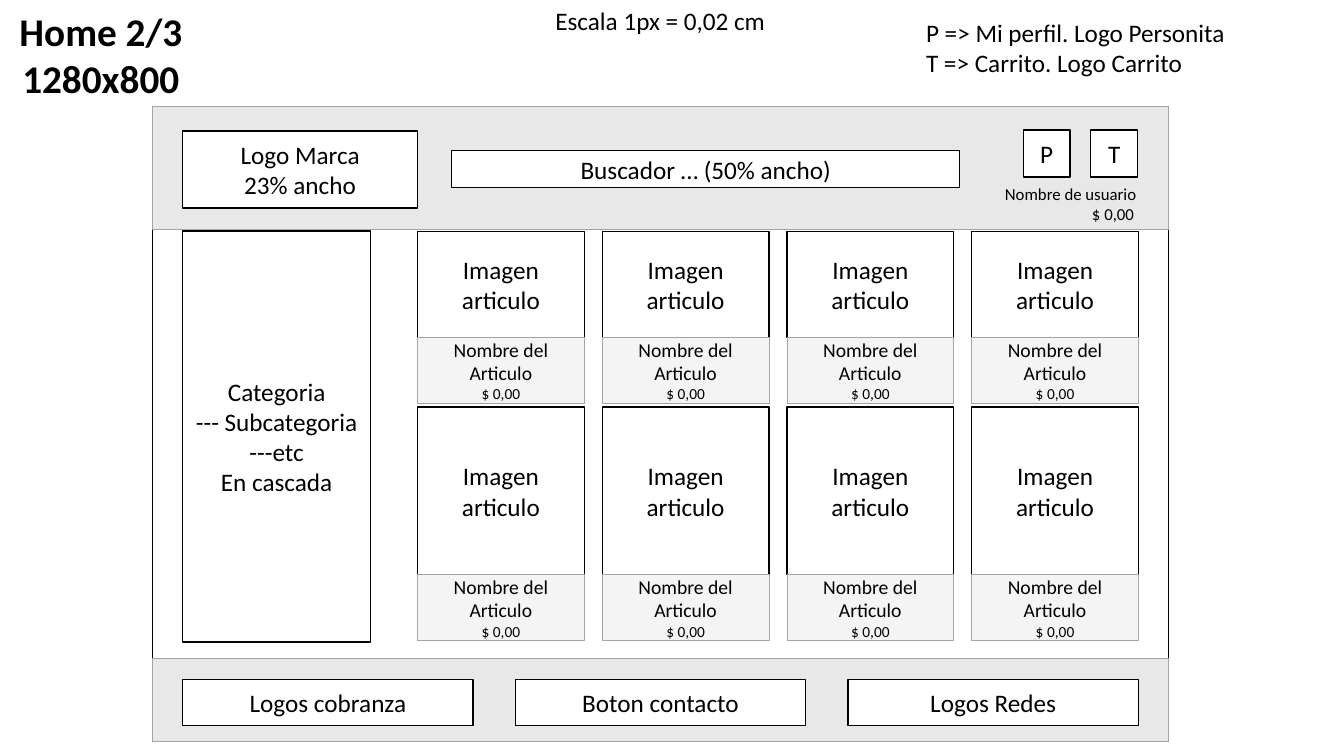
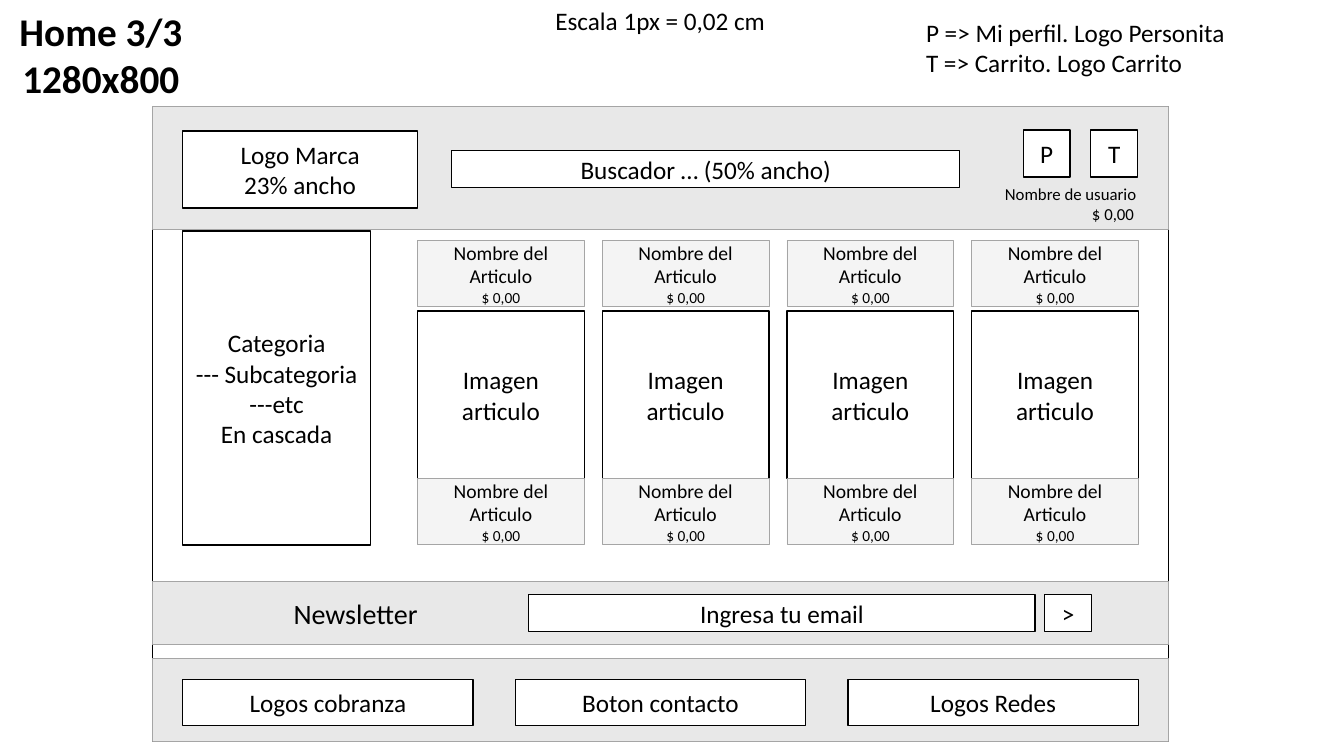
import dataclasses
import typing

import lxml.etree
import pptx
import pptx.dml.color
import pptx.enum.shapes
import pptx.enum.text
import pptx.oxml.ns
import pptx.util

Align = pptx.enum.text.PP_ALIGN
Anchor = pptx.enum.text.MSO_ANCHOR
PIXEL = pptx.util.Cm(0.02)  # the scale stated on the slides


@dataclasses.dataclass(frozen=True)
class Theme:
    font: str = "Calibri"
    ink: str = "000000"
    paper: str = "FFFFFF"
    gray: str = "D9D9D9"
    gray_line: str = "A5A5A5"
    title: int = 28
    heading: int = 20
    body: int = 18
    caption: int = 14
    small: int = 12
    price: int = 11


THEME = Theme()


@dataclasses.dataclass(frozen=True)
class Box:
    """Area in wireframe pixels."""
    x: float
    y: float
    width: float
    height: float

    def inside(self, outer: "Box") -> "Box":
        return Box(outer.x + self.x, outer.y + self.y, self.width, self.height)

    def emu(self) -> tuple[int, ...]:
        return tuple(round(side * PIXEL) for side in dataclasses.astuple(self))


@dataclasses.dataclass(frozen=True)
class Style:
    fill: str
    line: str
    line_width: float
    opacity: int = 100


@dataclasses.dataclass(frozen=True)
class Label:
    box: Box
    text: str
    size: int = THEME.body
    align: Align = Align.CENTER
    wrap: bool = True


@dataclasses.dataclass(frozen=True)
class CardRow:
    """Row of articles; without an image height only the captions show."""
    top: float
    image_height: float = 0


@dataclasses.dataclass(frozen=True)
class Page:
    title: str
    category_height: float
    rows: tuple[CardRow, ...]
    newsletter: bool = False


FIELD = Style(THEME.paper, THEME.ink, 1)
BAND = Style(THEME.gray, THEME.gray_line, 0.5, 58)
CAPTION = Style(THEME.gray, THEME.gray_line, 0.5, 28)

FRAME = Box(192, 134, 1280, 800)
MARGIN = 38
RIGHT = FRAME.width - MARGIN
CARDS_LEFT, CARD_WIDTH, CAPTION_HEIGHT = 334, 210, 83
TITLE_BOX = Box(11, 3, 232, 132)

NOTES = (
    Label(Box(687, 0, 293, 51), "Escala 1px = 0,02 cm", align=Align.LEFT, wrap=False),
    Label(Box(1154, 15, 406, 90),
          "P => Mi perfil. Logo Personita\nT => Carrito. Logo Carrito",
          align=Align.LEFT, wrap=False),
)
HEADER_BAND = Box(0, 0, FRAME.width, 155)
HEADER_FIELDS = (
    Label(Box(MARGIN, 31, 296, 97), "Logo Marca\n23% ancho"),
    Label(Box(377, 56, FRAME.width / 2, 46), "Buscador … (50% ancho)"),
    Label(Box(1097, 30, 59, 59), "P"),
    Label(Box(1182, 30, 59, 59), "T"),
)
ACCOUNT = (
    Label(Box(1006, 91, 246, 38), "Nombre de usuario", THEME.small, Align.RIGHT),
    Label(Box(1003, 116, 246, 38), "$ 0,00", THEME.small, Align.RIGHT),
)
NEWSLETTER_BAND = Box(0, 599, FRAME.width, 79)
NEWSLETTER_HEADING = Label(Box(MARGIN, 611, 436, 56), "Newsletter", THEME.heading)
NEWSLETTER_FIELDS = (
    Label(Box(474, 615, 638, 47), "Ingresa tu email"),
    Label(Box(1124, 615, 59, 47), ">"),
)
FOOTER_BAND = Box(0, 696, FRAME.width, 104)
FOOTER_BUTTONS = ("Logos cobranza", "Boton contacto", "Logos Redes")

PAGES = (
    Page("Home 2/3\n1280x800", 518, (CardRow(158, 133), CardRow(379, 211))),
    Page("Home 3/3\n1280x800", 396, (CardRow(169), CardRow(258, 211)), newsletter=True),
)


def spread(count: int, width: float, left: float, right: float) -> list[float]:
    """Left edges of equal items with equal gaps from left to right."""
    step = (right - left - width) / (count - 1)
    return [left + index * step for index in range(count)]


def color(value: str) -> pptx.dml.color.RGBColor:
    return pptx.dml.color.RGBColor.from_string(value)


def write(frame: typing.Any, label: Label, anchor: Anchor, bold: bool = False) -> None:
    frame.text = label.text
    frame.word_wrap = label.wrap
    frame.auto_size = pptx.enum.text.MSO_AUTO_SIZE.NONE
    frame.vertical_anchor = anchor
    for paragraph in frame.paragraphs:
        paragraph.alignment = label.align
        for run in paragraph.runs:
            run.font.name = THEME.font
            run.font.size = pptx.util.Pt(label.size)
            run.font.bold = bold
            run.font.color.rgb = color(THEME.ink)


def add_text(shapes: typing.Any, label: Label) -> None:
    write(shapes.add_textbox(*label.box.emu()).text_frame, label, Anchor.TOP)


def add_block(shapes: typing.Any, box: Box, style: Style) -> typing.Any:
    block = shapes.add_shape(pptx.enum.shapes.MSO_SHAPE.RECTANGLE, *box.emu())
    block.shadow.inherit = False
    block.fill.solid()
    block.fill.fore_color.rgb = color(style.fill)
    block.line.color.rgb = color(style.line)
    block.line.width = pptx.util.Pt(style.line_width)
    if style.opacity < 100:
        qn = pptx.oxml.ns.qn
        fill_color = block.fill._xPr.find(qn("a:solidFill")).find(qn("a:srgbClr"))
        lxml.etree.SubElement(fill_color, qn("a:alpha"), val=str(style.opacity * 1000))
    return block


def add_field(shapes: typing.Any, label: Label, style: Style = FIELD) -> typing.Any:
    field = add_block(shapes, label.box, style)
    write(field.text_frame, label, Anchor.MIDDLE)
    return field


def in_frame(label: Label) -> Label:
    return dataclasses.replace(label, box=label.box.inside(FRAME))


def add_caption(shapes: typing.Any, x: float, y: float) -> None:
    box = Box(x, y, CARD_WIDTH, CAPTION_HEIGHT)
    label = in_frame(Label(box, "Nombre del Articulo\n$ 0,00", THEME.caption))
    caption = add_field(shapes, label, CAPTION)
    for run in caption.text_frame.paragraphs[-1].runs:
        run.font.size = pptx.util.Pt(THEME.price)


def add_card_row(shapes: typing.Any, row: CardRow) -> None:
    for x in spread(4, CARD_WIDTH, CARDS_LEFT, RIGHT):
        if row.image_height:
            card = shapes.add_group_shape().shapes
            image = Box(x, row.top, CARD_WIDTH, row.image_height)
            add_field(card, in_frame(Label(image, "Imagen articulo")))
            add_caption(card, x, row.top + row.image_height)
        else:
            add_caption(shapes, x, row.top)


def add_title(slide: typing.Any, text: str) -> None:
    title = slide.shapes.title
    title.left, title.top, title.width, title.height = TITLE_BOX.emu()
    label = Label(TITLE_BOX, text, THEME.title, wrap=False)
    write(title.text_frame, label, Anchor.TOP, bold=True)


def add_header(shapes: typing.Any) -> None:
    add_block(shapes, HEADER_BAND.inside(FRAME), BAND)
    for field in HEADER_FIELDS:
        add_field(shapes, in_frame(field))
    for line in ACCOUNT:
        add_text(shapes, in_frame(line))


def add_newsletter(shapes: typing.Any) -> None:
    add_block(shapes, NEWSLETTER_BAND.inside(FRAME), BAND)
    for field in NEWSLETTER_FIELDS:
        add_field(shapes, in_frame(field))
    add_text(shapes, in_frame(NEWSLETTER_HEADING))


def add_footer(shapes: typing.Any) -> None:
    add_block(shapes, FOOTER_BAND.inside(FRAME), BAND)
    width = 366
    lefts = spread(len(FOOTER_BUTTONS), width, MARGIN, RIGHT)
    for x, text in zip(lefts, FOOTER_BUTTONS):
        add_field(shapes, in_frame(Label(Box(x, 722, width, 58), text)))


def add_page(deck: typing.Any, page: Page) -> None:
    slide = deck.slides.add_slide(deck.slide_layouts.get_by_name("Title Only"))
    shapes = slide.shapes
    add_title(slide, page.title)
    for note in NOTES:
        add_text(shapes, note)
    add_block(shapes, FRAME, FIELD)
    add_header(shapes)
    categories = Label(Box(MARGIN, 157, 237, page.category_height),
                       "Categoria\n--- Subcategoria\n---etc\nEn cascada")
    add_field(shapes, in_frame(categories))
    for row in page.rows:
        add_card_row(shapes, row)
    if page.newsletter:
        add_newsletter(shapes)
    add_footer(shapes)


def main() -> None:
    deck = pptx.Presentation()
    deck.slide_width = pptx.util.Inches(13.33)
    deck.slide_height = pptx.util.Inches(7.5)
    for page in PAGES:
        add_page(deck, page)
    deck.save("out.pptx")


if __name__ == "__main__":
    main()
